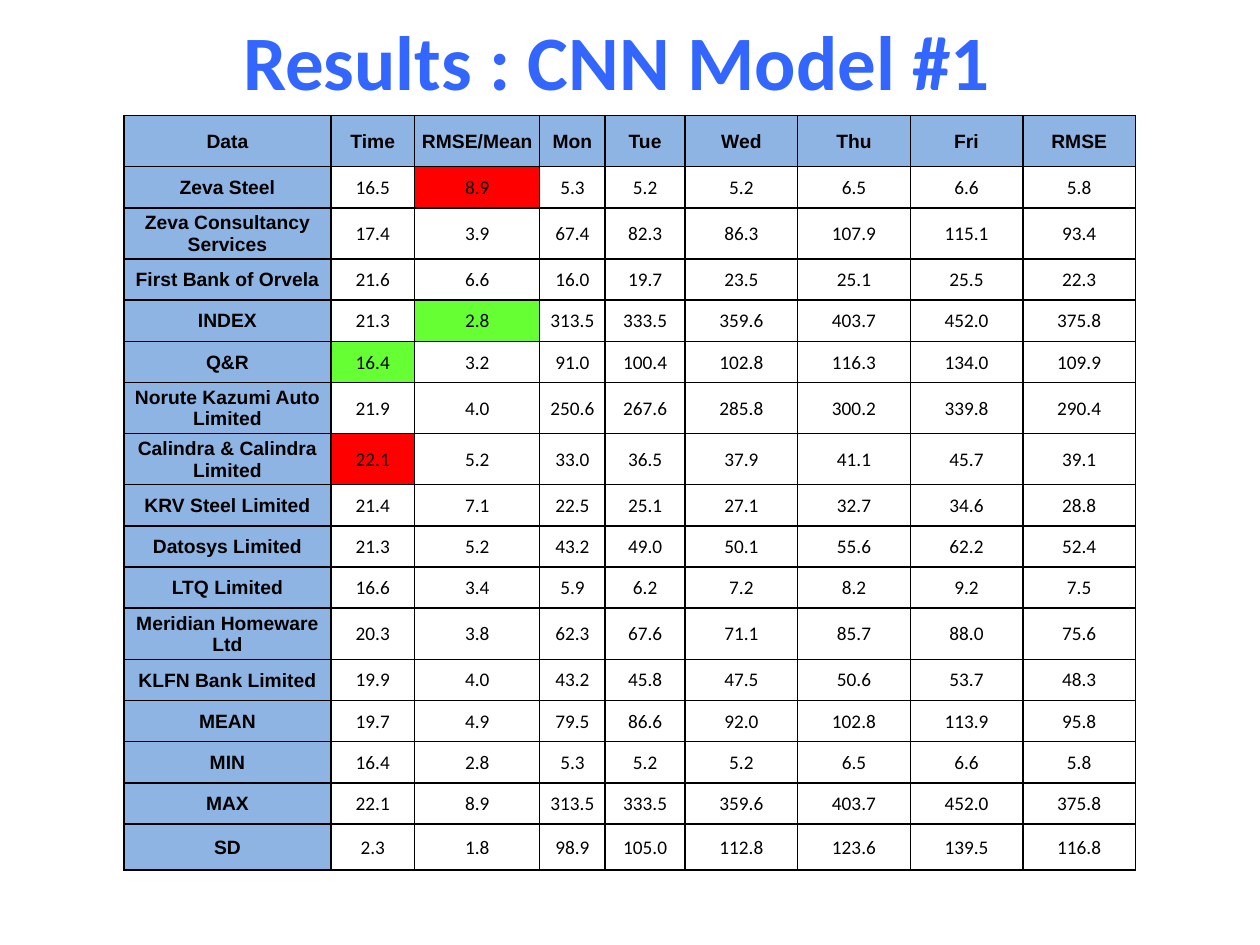
from dataclasses import dataclass

from lxml import etree
from pptx import Presentation
from pptx import util as u
from pptx.dml.color import RGBColor
from pptx.enum import text
from pptx.oxml import ns


@dataclass(frozen=True)
class Theme:
    title: RGBColor = RGBColor.from_string("3366FF")
    ink: RGBColor = RGBColor.from_string("000000")
    label: RGBColor = RGBColor.from_string("8EB4E3")
    worst: RGBColor = RGBColor.from_string("FF0000")
    best: RGBColor = RGBColor.from_string("66FF33")
    label_font: str = "Arial"
    value_font: str = "Calibri"
    title_size: u.Pt = u.Pt(44)
    table_size: u.Pt = u.Pt(11)
    border: u.Pt = u.Pt(1)


theme = Theme()

HEADER = ["Data", "Time", "RMSE/Mean", "Mon", "Tue", "Wed", "Thu", "Fri", "RMSE"]
STOCKS = [
    ("Zeva Steel", 16.5, 8.9, 5.3, 5.2, 5.2, 6.5, 6.6, 5.8),
    ("Zeva Consultancy Services", 17.4, 3.9, 67.4, 82.3, 86.3, 107.9, 115.1, 93.4),
    ("First Bank of Orvela", 21.6, 6.6, 16.0, 19.7, 23.5, 25.1, 25.5, 22.3),
    ("INDEX", 21.3, 2.8, 313.5, 333.5, 359.6, 403.7, 452.0, 375.8),
    ("Q&R", 16.4, 3.2, 91.0, 100.4, 102.8, 116.3, 134.0, 109.9),
    ("Norute Kazumi Auto Limited", 21.9, 4.0, 250.6, 267.6, 285.8, 300.2, 339.8, 290.4),
    ("Calindra & Calindra Limited", 22.1, 5.2, 33.0, 36.5, 37.9, 41.1, 45.7, 39.1),
    ("KRV Steel Limited", 21.4, 7.1, 22.5, 25.1, 27.1, 32.7, 34.6, 28.8),
    ("Datosys Limited", 21.3, 5.2, 43.2, 49.0, 50.1, 55.6, 62.2, 52.4),
    ("LTQ Limited", 16.6, 3.4, 5.9, 6.2, 7.2, 8.2, 9.2, 7.5),
    ("Meridian Homeware Ltd", 20.3, 3.8, 62.3, 67.6, 71.1, 85.7, 88.0, 75.6),
    ("KLFN Bank Limited", 19.9, 4.0, 43.2, 45.8, 47.5, 50.6, 53.7, 48.3),
]
SUMMARY = [
    ("MEAN", 19.7, 4.9, 79.5, 86.6, 92.0, 102.8, 113.9, 95.8),
    ("MIN", 16.4, 2.8, 5.3, 5.2, 5.2, 6.5, 6.6, 5.8),
    ("MAX", 22.1, 8.9, 313.5, 333.5, 359.6, 403.7, 452.0, 375.8),
    ("SD", 2.3, 1.8, 98.9, 105.0, 112.8, 123.6, 139.5, 116.8),
]
COLUMN_WIDTHS = [4.17, 1.69, 2.52, 1.32, 1.61] + [2.27] * 4
TALL_ROWS = {0, 2, 6, 7, 11}
RANKED_COLUMNS = {1, 2}

rows = [HEADER, *STOCKS, *SUMMARY]
row_heights = [1.03 if index in TALL_ROWS else 0.83 for index in range(len(rows))]
row_heights[-1] = 0.93


def add_borders(cell):
    properties = cell._tc.get_or_add_tcPr()
    for side in ("a:lnL", "a:lnR", "a:lnT", "a:lnB"):
        line = etree.SubElement(properties, ns.qn(side), w=str(theme.border))
        fill = etree.SubElement(line, ns.qn("a:solidFill"))
        etree.SubElement(fill, ns.qn("a:srgbClr"), val=str(theme.ink))


def cell_colour(row, column):
    """Give the label colour, the best or worst mark of a ranked column, or None."""
    if row == 0 or column == 0:
        return theme.label
    if column in RANKED_COLUMNS and row <= len(STOCKS):
        ranked = [stock[column] for stock in STOCKS]
        return {min(ranked): theme.best, max(ranked): theme.worst}.get(rows[row][column])
    return None


deck = Presentation()
deck.slide_width, deck.slide_height = u.Cm(25.4), u.Cm(19.05)
slide = deck.slides.add_slide(deck.slide_layouts[5])

title = slide.shapes.title
title.left, title.top, title.width, title.height = u.Cm(0.91), u.Cm(0.89), u.Cm(23.06), u.Cm(0.64)
frame = title.text_frame
frame.text = "Results : CNN Model #1"
frame.auto_size = text.MSO_AUTO_SIZE.NONE
frame.vertical_anchor = text.MSO_ANCHOR.MIDDLE
para = frame.paragraphs[0]
para.alignment = text.PP_ALIGN.CENTER
para.font.name, para.font.size, para.font.bold = theme.value_font, theme.title_size, True
para.font.color.rgb = theme.title

table = slide.shapes.add_table(
    len(rows), len(HEADER), u.Cm(2.5), u.Cm(2.33),
    u.Cm(sum(COLUMN_WIDTHS)), u.Cm(sum(row_heights)),
).table
table.horz_banding = False
for column, width in zip(table.columns, COLUMN_WIDTHS):
    column.width = u.Cm(width)

for row_index, values in enumerate(rows):
    table.rows[row_index].height = u.Cm(row_heights[row_index])
    for column_index, value in enumerate(values):
        cell = table.cell(row_index, column_index)
        is_label = isinstance(value, str)
        cell.text = value if is_label else f"{value:.1f}"
        cell.vertical_anchor = text.MSO_ANCHOR.MIDDLE
        cell.margin_left = cell.margin_right = cell.margin_top = u.Cm(0.02)
        cell.margin_bottom = 0
        add_borders(cell)
        colour = cell_colour(row_index, column_index)
        if colour is None:
            cell.fill.background()
        else:
            cell.fill.solid()
            cell.fill.fore_color.rgb = colour
        para = cell.text_frame.paragraphs[0]
        para.alignment = text.PP_ALIGN.CENTER
        para.font.name = theme.label_font if is_label else theme.value_font
        para.font.size, para.font.bold = theme.table_size, is_label
        para.font.color.rgb = theme.ink

deck.save("out.pptx")
